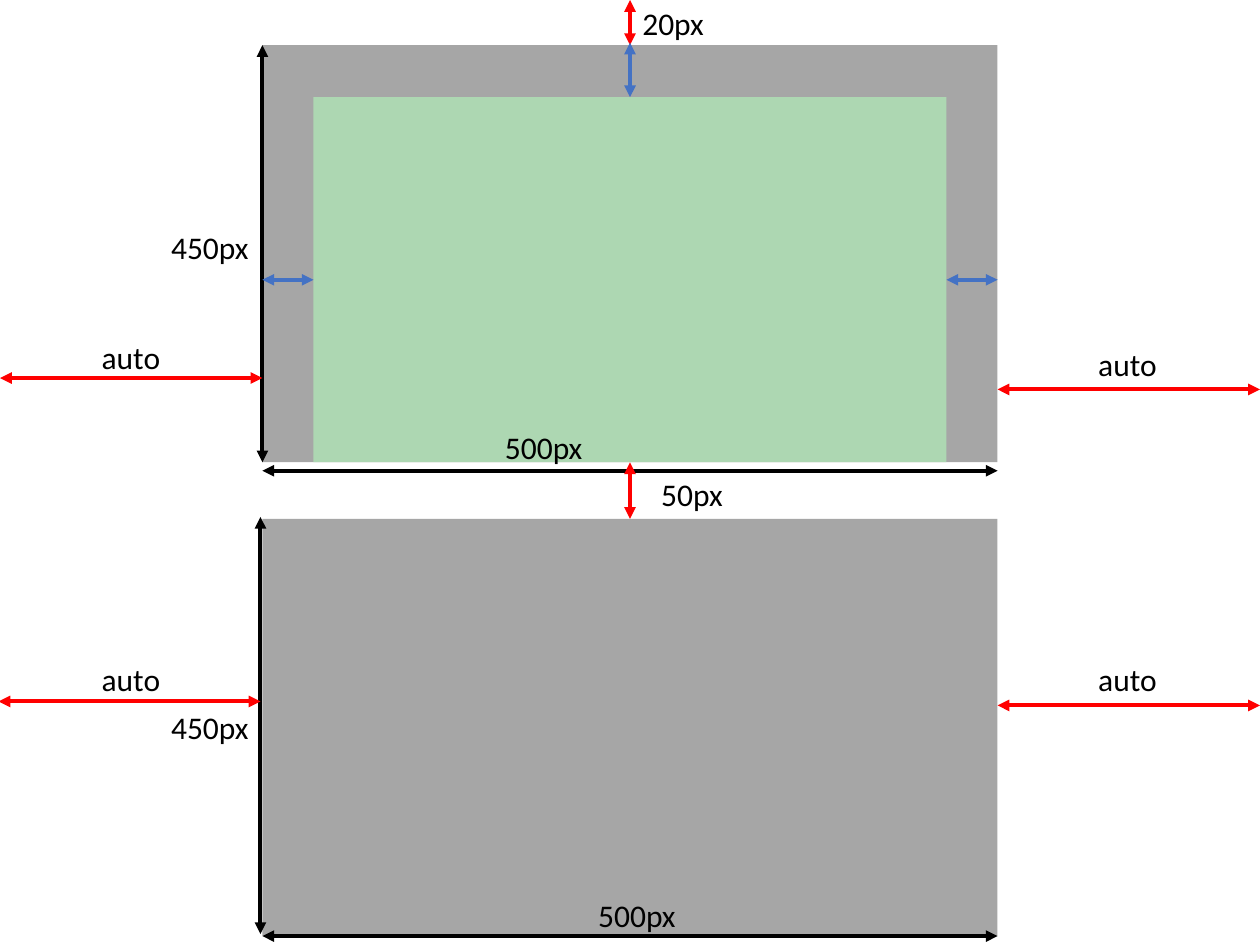
from lxml.etree import SubElement
from pptx import Presentation
from pptx.dml.color import RGBColor
from pptx.enum.shapes import MSO_CONNECTOR, MSO_SHAPE
from pptx.enum.text import MSO_AUTO_SIZE
from pptx.oxml.ns import qn
from pptx.util import Cm, Pt

COLOURS = {"frame": "A6A6A6", "content": "ADD7B2", "size": "000000",
           "margin": "FF0000", "padding": "4472C4", "text": "000000"}
TOP, LEFT, BOTTOM, RIGHT = range(4)
PAGE_WIDTH, PAGE_HEIGHT = 25.4, 19.05
FRAME_LEFT, FRAME_WIDTH, FRAME_HEIGHT = 5.29, 14.82, 8.41
FRAME_RIGHT = FRAME_LEFT + FRAME_WIDTH
UPPER_TOP, LOWER_TOP = 0.91, 10.46
PADDING_X, PADDING_Y = 1.03, 1.05
CENTRE = PAGE_WIDTH / 2
CONTENT_MIDDLE = UPPER_TOP + (PADDING_Y + FRAME_HEIGHT) / 2


class BoxModelPage:
    font_format = {"name": "Calibri", "size": Pt(18)}
    frame_format = {"word_wrap": False, "auto_size": MSO_AUTO_SIZE.SHAPE_TO_FIT_TEXT}
    line_width = Pt(2.25)

    def __init__(self, deck):
        self.page = deck.slides.add_slide(deck.slide_layouts[6])

    @staticmethod
    def colour(name):
        return RGBColor.from_string(COLOURS[name])

    @staticmethod
    def apply(target, values):
        for name, value in values.items():
            setattr(target, name, value)

    def rectangle(self, colour, *place):
        box = self.page.shapes.add_shape(MSO_SHAPE.RECTANGLE, *map(Cm, place))
        box.shadow.inherit = False
        box.fill.solid()
        box.fill.fore_color.rgb = self.colour(colour)
        box.line.fill.background()
        return box

    def arrow(self, colour, start, end, begin=None, finish=None):
        """Draw a double-headed arrow; begin and finish are (shape, side) joints."""
        arrow = self.page.shapes.add_connector(
            MSO_CONNECTOR.STRAIGHT, *map(Cm, (*start, *end)))
        if begin:
            arrow.begin_connect(*begin)
        if finish:
            arrow.end_connect(*finish)
        arrow.line.color.rgb = self.colour(colour)
        arrow.line.width = self.line_width
        line = arrow.line._get_or_add_ln()
        for tag in ("a:headEnd", "a:tailEnd"):
            SubElement(line, qn(tag), type="triangle")
        SubElement(arrow._element.spPr, qn("a:effectLst"))

    def label(self, text, left, top, width):
        box = self.page.shapes.add_textbox(*map(Cm, (left, top, width, 1.03)))
        self.apply(box.text_frame, self.frame_format)
        span = box.text_frame.paragraphs[0].add_run()
        span.text = text
        self.apply(span.font, self.font_format)
        span.font.color.rgb = self.colour("text")


def main():
    deck = Presentation()
    deck.slide_width, deck.slide_height = Cm(PAGE_WIDTH), Cm(PAGE_HEIGHT)
    page = BoxModelPage(deck)

    upper, lower = (page.rectangle("frame", FRAME_LEFT, top, FRAME_WIDTH, FRAME_HEIGHT)
                    for top in (UPPER_TOP, LOWER_TOP))
    content = page.rectangle(
        "content", FRAME_LEFT + PADDING_X, UPPER_TOP + PADDING_Y,
        FRAME_WIDTH - 2 * PADDING_X, FRAME_HEIGHT - PADDING_Y)

    for x, top in ((FRAME_LEFT, UPPER_TOP), (5.25, 10.42)):
        page.arrow("size", (x, top), (x, top + FRAME_HEIGHT))
    for y in (9.49, 18.87):
        page.arrow("size", (FRAME_RIGHT, y), (FRAME_LEFT, y))

    for start, end, y in ((0, FRAME_LEFT, 7.62), (FRAME_RIGHT, PAGE_WIDTH, 7.85),
                          (-0.03, 5.25, 14.14), (FRAME_RIGHT, PAGE_WIDTH, 14.22)):
        page.arrow("margin", (start, y), (end, y))
    page.arrow("margin", (CENTRE, 0), (CENTRE, UPPER_TOP), finish=(upper, TOP))
    page.arrow("margin", (CENTRE, UPPER_TOP + FRAME_HEIGHT), (CENTRE, LOWER_TOP),
               (upper, BOTTOM), (lower, TOP))

    page.arrow("padding", (FRAME_LEFT, CONTENT_MIDDLE),
               (FRAME_LEFT + PADDING_X, CONTENT_MIDDLE), finish=(content, LEFT))
    page.arrow("padding", (FRAME_RIGHT - PADDING_X, CONTENT_MIDDLE),
               (FRAME_RIGHT, CONTENT_MIDDLE), (content, RIGHT))
    page.arrow("padding", (CENTRE, UPPER_TOP + PADDING_Y), (CENTRE, 0.86),
               (content, TOP))

    for text, width, places in (
            ("450px", 2.08, ((3.2, 4.47), (3.2, 14.15))),
            ("500px", 2.08, ((9.93, 8.51), (11.81, 17.93))),
            ("auto", 1.7, ((1.8, 6.68), (21.89, 6.83), (1.8, 13.18), (21.89, 13.18))),
            ("20px", 1.75, ((12.7, -0.05),)),
            ("50px", 1.75, ((13.08, 9.45),))):
        for left, top in places:
            page.label(text, left, top, width)

    deck.save("out.pptx")


if __name__ == "__main__":
    main()
